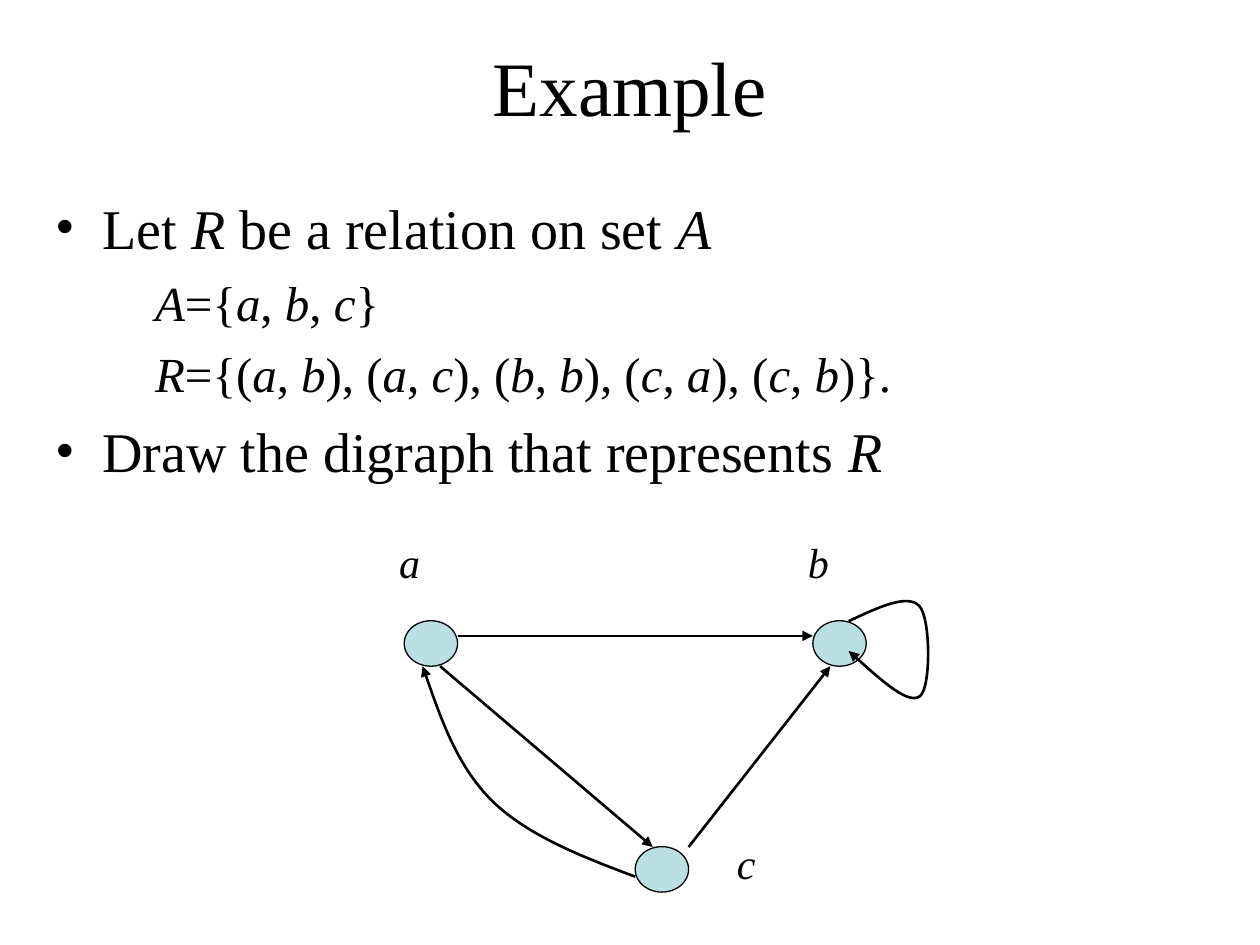
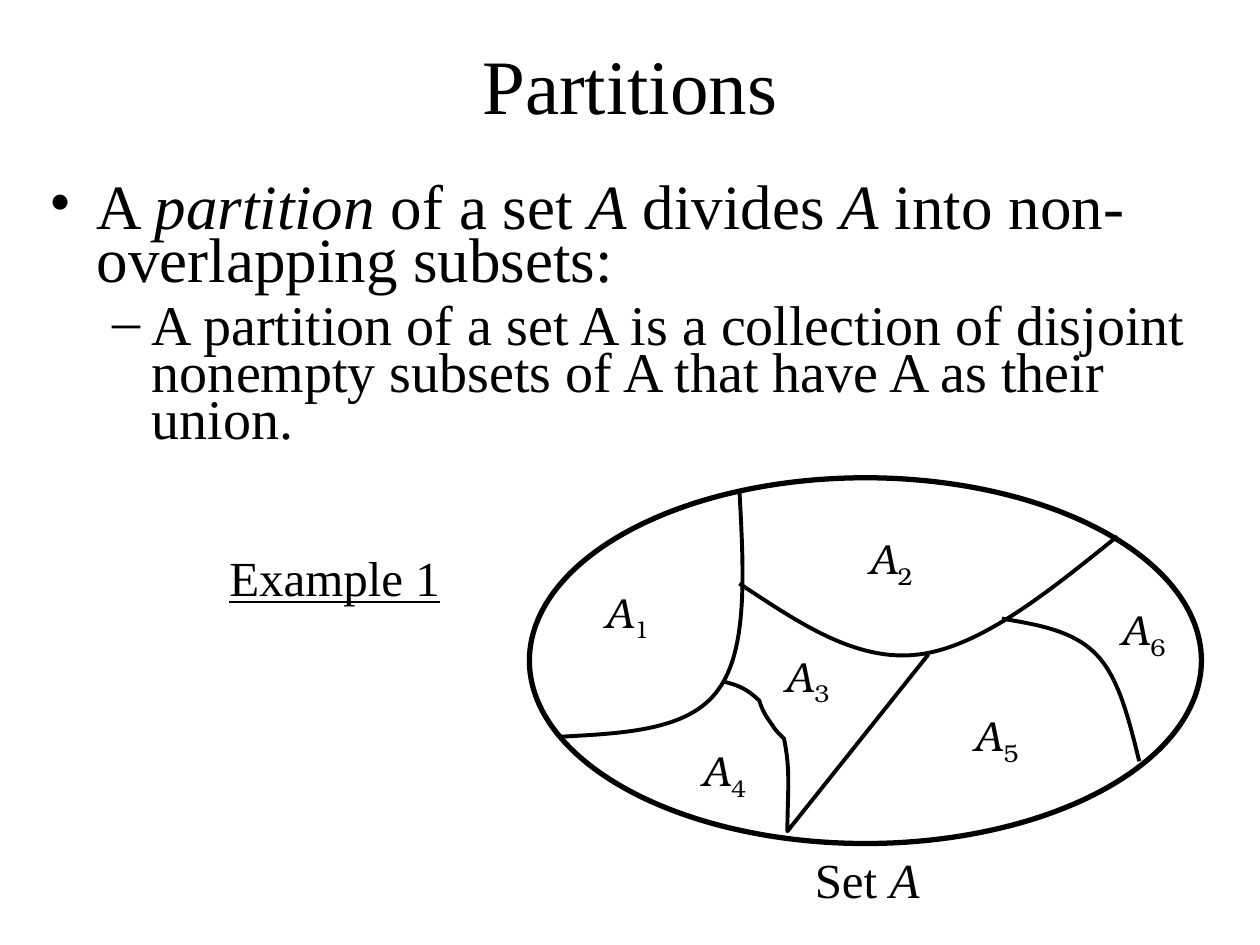
from dataclasses import dataclass
from typing import Any

from lxml import etree
from pptx import Presentation
from pptx.dml.color import RGBColor
from pptx.enum.shapes import MSO_CONNECTOR, MSO_SHAPE
from pptx.enum.text import MSO_ANCHOR, MSO_AUTO_SIZE, PP_ALIGN
from pptx.oxml.ns import qn
from pptx.util import Pt

STRAIGHT = MSO_CONNECTOR.STRAIGHT
OVAL = MSO_SHAPE.OVAL
MIDDLE = MSO_ANCHOR.MIDDLE
CENTER = PP_ALIGN.CENTER
FIT_SHAPE = MSO_AUTO_SIZE.SHAPE_TO_FIT_TEXT

COLORS = {"ink": "000000", "node": "BBE0E3"}
SERIF = "Times New Roman"
SET_FONT = "TeX Gyre Bonum"

Point = tuple[float, float]


@dataclass
class Box:
    left: float
    top: float
    width: float
    height: float

    def lengths(self) -> list[int]:
        return [Pt(v) for v in (self.left, self.top, self.width, self.height)]


@dataclass
class Item:
    """A body paragraph; *stars* enclose italics."""
    text: str
    size: float
    margin: float
    hang: float = 0
    bullet: str = ""
    before: float = 0
    spacing: float = 1


@dataclass
class Label:
    text: str
    box: Box
    size: float = 24
    font: str = SERIF
    subscript: str = ""
    underline: bool = False
    wrap: bool = False


@dataclass
class Curve:
    """A start point, then three Bézier points for each segment."""
    points: list[Point]
    width: float = 2.25
    arrow: bool = False


def rgb(name: str) -> RGBColor:
    return RGBColor.from_string(COLORS[name])


def write_text(paragraph: Any, text: str, *, size: float, font: str = SERIF,
               underline: bool = False, subscript: str = "") -> None:
    """Add spans to the paragraph, italic between stars."""
    pieces = [(piece, i % 2 == 1, False) for i, piece in enumerate(text.split("*"))]
    for piece, italic, lowered in pieces + [(subscript, False, True)]:
        if not piece:
            continue
        span = paragraph.add_run()
        span.text = piece
        span.font.name = font
        span.font.size = Pt(size)
        span.font.italic = italic
        span.font.underline = underline
        span.font.color.rgb = rgb("ink")
        if lowered:
            span.font._element.set("baseline", "-25000")


def add_title(page: Any, text: str, box: Box) -> None:
    frame = page.shapes.add_textbox(*box.lengths()).text_frame
    frame.word_wrap = True
    frame.vertical_anchor = MIDDLE
    frame.paragraphs[0].alignment = CENTER
    write_text(frame.paragraphs[0], text, size=44)


def add_body(page: Any, items: list[Item], box: Box) -> None:
    frame = page.shapes.add_textbox(*box.lengths()).text_frame
    frame.word_wrap = True
    for i, item in enumerate(items):
        paragraph = frame.add_paragraph() if i else frame.paragraphs[0]
        props = paragraph._p.get_or_add_pPr()
        props.set("marL", str(Pt(item.margin)))
        props.set("indent", str(Pt(-item.hang)))
        if item.bullet:
            etree.SubElement(props, qn("a:buFont")).set("typeface", SERIF)
            etree.SubElement(props, qn("a:buChar")).set("char", item.bullet)
        paragraph.space_before = Pt(item.before)
        paragraph.line_spacing = item.spacing
        write_text(paragraph, item.text, size=item.size)


def add_label(page: Any, label: Label) -> None:
    frame = page.shapes.add_textbox(*label.box.lengths()).text_frame
    frame.word_wrap = label.wrap
    frame.auto_size = FIT_SHAPE
    write_text(frame.paragraphs[0], label.text, size=label.size, font=label.font,
               underline=label.underline, subscript=label.subscript)


def style_line(shape: Any, width: float, arrow: bool = False) -> None:
    shape.line.color.rgb = rgb("ink")
    shape.line.width = Pt(width)
    props = shape._element.spPr
    if arrow:
        etree.SubElement(props.find(qn("a:ln")), qn("a:tailEnd")).set("type", "triangle")
    etree.SubElement(props, qn("a:effectLst"))


def add_ellipse(page: Any, box: Box, width: float, fill: str = "") -> None:
    ellipse = page.shapes.add_shape(OVAL, *box.lengths())
    if fill:
        ellipse.fill.solid()
        ellipse.fill.fore_color.rgb = rgb(fill)
    else:
        ellipse.fill.background()
    style_line(ellipse, width)


def add_arrow(page: Any, start: Point, end: Point) -> None:
    ends = [Pt(v) for v in start + end]
    style_line(page.shapes.add_connector(STRAIGHT, *ends), 1.5, arrow=True)


def add_curve(page: Any, curve: Curve) -> None:
    """Build the outline from its points, then join each three as one Bézier."""
    start, *rest = [(Pt(x), Pt(y)) for x, y in curve.points]
    builder = page.shapes.build_freeform(*start)
    builder.add_line_segments(rest, close=False)
    shape = builder.convert_to_shape()
    steps = list(shape._element.iter(qn("a:lnTo")))
    for i in range(0, len(steps), 3):
        bezier = etree.Element(qn("a:cubicBezTo"))
        steps[i].addprevious(bezier)
        for step in steps[i:i + 3]:
            bezier.append(step[0])
            step.getparent().remove(step)
    shape.fill.background()
    style_line(shape, curve.width, curve.arrow)


def draw_digraph_page(page: Any) -> None:
    add_title(page, "Example", Box(36, 12.7, 648, 72.7))
    add_body(page, [
        Item("Let *R* be a relation on set *A*", 32, 27, 27, "•"),
        Item("*A*={*a*, *b*, *c*}", 28, 57, before=7),
        Item("*R*={(*a*, *b*), (*a*, *c*), (*b*, *b*), (*c*, *a*), (*c*, *b*)}.",
             28, 57, before=7),
        Item("Draw the digraph that represents *R*", 32, 27, 27, "•", before=8),
    ], Box(24.5, 106.9, 671, 191))

    for left, top in [(231, 354.7), (363, 483.8), (464.5, 354.7)]:
        add_ellipse(page, Box(left, top, 30.5, 26), 0.75, "node")
    for name, left, top in [("a", 221, 303.3), ("b", 454.5, 303.3), ("c", 414, 475.3)]:
        add_label(page, Label(f"*{name}*", Box(left, top, 26, 36)))

    add_arrow(page, (261.5, 363.4), (464.5, 363.4))
    add_arrow(page, (251.5, 380.7), (373, 484))
    add_arrow(page, (393.5, 484), (474.5, 380.7))
    loop_at_b = [(485, 355), (502, 347), (519, 339), (525.5, 346.5), (532, 354),
                 (532, 394), (525.5, 398), (519, 402.5), (502, 387.5), (485, 372)]
    c_to_a = [(363, 501), (332.5, 489.5), (302.5, 478), (281.5, 458),
              (261.5, 438), (251.5, 409.5), (241.5, 380.7)]
    for points in (loop_at_b, c_to_a):
        add_curve(page, Curve(points, 1.5, arrow=True))


def draw_partition_page(page: Any) -> None:
    add_title(page, "Partitions", Box(36, 13.2, 648, 69))
    add_body(page, [
        Item("A *partition* of a set *A* divides *A* into non-overlapping subsets:",
             36, 27, 27, "•", spacing=0.7),
        Item("A partition of a set A is a collection of disjoint nonempty subsets "
             "of A that have A as their union.", 32, 58.5, 22.5, "–", 8.5, 0.7),
    ], Box(21.3, 103.6, 665, 176))

    add_ellipse(page, Box(302.5, 273, 384, 209), 3)
    edge_of_a1 = [(320.5, 421), (357, 419), (394, 417.5), (410.5, 394),
                  (427.5, 371), (425, 325.5), (422.5, 280)]
    edge_of_a2 = [(422.5, 333.5), (456, 355.5), (489, 378.5), (525, 374),
                  (561, 369.5), (600, 337.5), (638.5, 306.5)]
    edge_of_a3 = [(413.5, 389.5), (422, 391.5), (427.5, 394), (434, 400.5),
                  (435.5, 406), (438.5, 410.5), (441.5, 414.5),
                  (443, 417.5), (448, 422), (448, 422),
                  (452, 440.5), (450, 453.5), (450, 475),
                  (450, 475), (530.5, 374), (530.5, 374)]
    edge_of_a6 = [(572.5, 353.5), (593.5, 357), (613.5, 360.5), (626.5, 374),
                  (639.5, 387.5), (645, 411), (651, 435)]
    for points in (edge_of_a1, edge_of_a2, edge_of_a3, edge_of_a6):
        add_curve(page, Curve(points))

    subset_corners = [(338.5, 331.3), (489, 301), (441.5, 368),
                      (394, 422), (549.5, 402), (633.5, 341.5)]
    for number, (left, top) in enumerate(subset_corners, start=1):
        add_label(page, Label("*A*", Box(left, top, 50, 40), font=SET_FONT,
                              subscript=str(number), wrap=True))
    add_label(page, Label("Set *A*", Box(458.5, 481.7, 74, 41), 28))
    add_label(page, Label("Example 1", Box(124, 309.5, 166, 41), 28,
                          underline=True, wrap=True))


def main() -> None:
    deck = Presentation()
    deck.slide_width, deck.slide_height = Pt(720), Pt(540)
    for draw_page in (draw_digraph_page, draw_partition_page):
        draw_page(deck.slides.add_slide(deck.slide_layouts[6]))
    deck.save("out.pptx")


if __name__ == "__main__":
    main()
